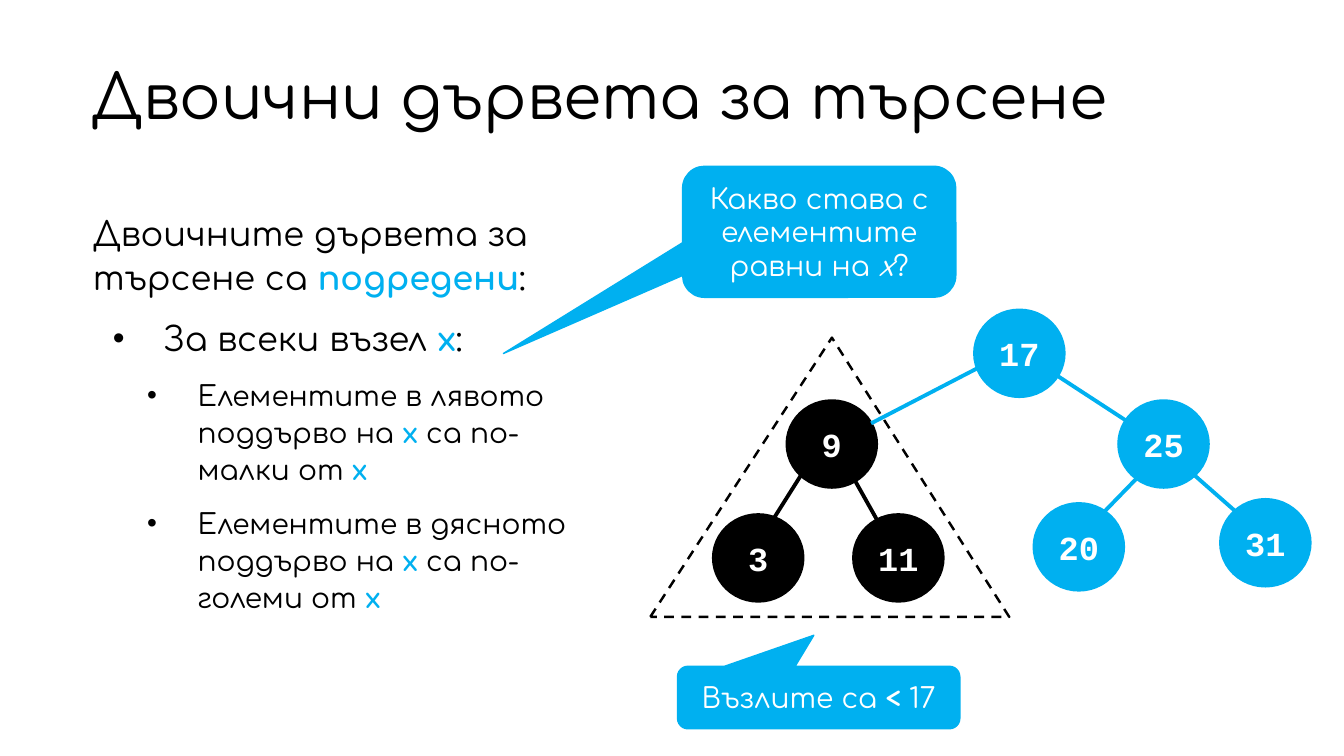
from lxml import etree
from pptx import Presentation
from pptx.dml.color import RGBColor
from pptx.enum.dml import MSO_LINE
from pptx.enum.shapes import MSO_CONNECTOR, MSO_SHAPE
from pptx.enum.text import MSO_ANCHOR, PP_ALIGN
from pptx.oxml.ns import qn
from pptx.util import Inches, Pt

HUES = {"sky": "00B0F0", "black": "000000", "white": "FFFFFF"}
SANS, MONO = "Comfortaa", "Courier New"
NODE = (0.88, 0.85)

TITLE = [("Двоични дървета за търсене", "")]
BODY = [
    (0, 24, [("Двоичните дървета за търсене са ", ""), ("подредени", "key"), (":", "")]),
    (1, 24, [("За всеки възел ", ""), ("x", "key"), (":", "")]),
    (2, 20, [("Елементите в лявото поддърво на ", ""), ("x ", "key"),
             ("са по-малки от ", ""), ("x", "key")]),
    (2, 20, [("Елементите в дясното поддърво на ", ""), ("x ", "key"),
             ("са по-големи от ", ""), ("x", "key")]),
]
DENTS = {1: 0.7, 2: 1.04}
HANG = 0.5

NODES = [
    ("17", 9.67, 3.08, "sky"),
    ("25", 11.1, 3.98, "sky"),
    ("20", 10.26, 5, "sky"),
    ("31", 12.11, 4.96, "sky"),
    ("9", 7.81, 3.98, "black"),
    ("3", 7.08, 5.11, "black"),
    ("11", 8.47, 5.11, "black"),
]
EDGES = [
    ((9.7, 3.65), (8.64, 4.2), "sky"),
    ((10.49, 3.73), (11.18, 4.18), "sky"),
    ((11.27, 4.75), (10.94, 5.09), "sky"),
    ((11.83, 4.7), (12.25, 5.07), "sky"),
    ((7.96, 4.69), (7.67, 5.15), "black"),
    ((8.47, 4.75), (8.7, 5.16), "black"),
]
CALLS = [
    ((6.77, 1.65, 2.71, 1.3), (-1.156, 0.929, 0.167), (0.13, 0.07),
     [("Какво става с елементите равни на ", ""), ("x", "ital"), ("?", "")]),
    ((6.72, 6.61, 2.8, 0.62), (-0.017, -0.997, 0.167), (0.1, 0.05),
     [("Възлите са ", ""), ("<", "bold"), (" 17", "")]),
]

deck = Presentation()
deck.slide_width, deck.slide_height = Inches(13.33), Inches(7.5)
slide = deck.slides.add_slide(deck.slide_layouts[6])
shapes = slide.shapes


def paint(hue):
    return RGBColor.from_string(HUES[hue])


def write(para, runs, face, size, hue):
    for text, style in runs:
        run = para.add_run()
        run.text = text
        font = run.font
        font.name, font.size = face, Pt(size)
        font.bold = style in ("key", "bold")
        font.italic = style == "ital"
        font.color.rgb = paint("sky" if style == "key" else hue)


def pad(frame, wide, high, anchor):
    frame.word_wrap = True
    frame.vertical_anchor = anchor
    frame.margin_left = frame.margin_right = Inches(wide)
    frame.margin_top = frame.margin_bottom = Inches(high)


def add_text(box, anchor):
    frame = shapes.add_textbox(*map(Inches, box)).text_frame
    pad(frame, 0.12, 0.04, anchor)
    return frame


def add_form(kind, box, fill, line, width):
    form = shapes.add_shape(kind, *map(Inches, box))
    form.shadow.inherit = False
    if fill:
        form.fill.solid()
        form.fill.fore_color.rgb = paint(fill)
    else:
        form.fill.background()
    form.line.color.rgb = paint(line)
    form.line.width = Pt(width)
    return form


def label(form, inset, runs, face, size):
    pad(form.text_frame, *inset, MSO_ANCHOR.MIDDLE)
    para = form.text_frame.paragraphs[0]
    para.alignment = PP_ALIGN.CENTER
    write(para, runs, face, size, "white")


def add_bullet(para, dent):
    props = para._p.get_or_add_pPr()
    props.set("marL", str(Inches(dent)))
    props.set("indent", str(-Inches(HANG)))
    etree.SubElement(props, qn("a:buFont")).set("typeface", "Arial")
    etree.SubElement(props, qn("a:buChar")).set("char", "•")


def add_body():
    frame = add_text((0.8, 2.03, 5.19, 4.76), MSO_ANCHOR.TOP)
    for pos, (level, size, runs) in enumerate(BODY):
        para = frame.add_paragraph() if pos else frame.paragraphs[0]
        if level:
            para.level = level
            add_bullet(para, DENTS[level])
        para.line_spacing = 1.1
        para.space_before = Pt(12 if pos else 0)
        write(para, runs, SANS, size, "black")


def add_title():
    para = add_text((0.79, 0.38, 10.48, 1.21), MSO_ANCHOR.MIDDLE).paragraphs[0]
    para.line_spacing = 0.9
    write(para, TITLE, SANS, 44, "black")


def add_call(box, tail, inset, runs):
    form = add_form(MSO_SHAPE.ROUNDED_RECTANGULAR_CALLOUT, box, "sky", "sky", 1)
    for pos, value in enumerate(tail):
        form.adjustments[pos] = value
    label(form, inset, runs, SANS, 20)


def add_edge(start, end, hue):
    edge = shapes.add_connector(MSO_CONNECTOR.STRAIGHT, *map(Inches, start + end))
    edge.line.color.rgb = paint(hue)
    edge.line.width = Pt(2.75)
    etree.SubElement(edge._element.spPr, qn("a:effectLst"))


def add_tree():
    for name, left, top, hue in NODES:
        form = add_form(MSO_SHAPE.OVAL, (left, top) + NODE, hue, hue, 2.75)
        label(form, (0.1, 0.05), [(name, "bold")], MONO, 24)
    for edge in EDGES:
        add_edge(*edge)
    frame = add_form(MSO_SHAPE.ISOSCELES_TRIANGLE, (6.45, 3.35, 3.56, 2.77),
                     None, "black", 1.75)
    frame.adjustments[0] = 0.506
    frame.line.dash_style = MSO_LINE.DASH


add_body()
add_title()
add_tree()
for call in CALLS:
    add_call(*call)
deck.save("out.pptx")
